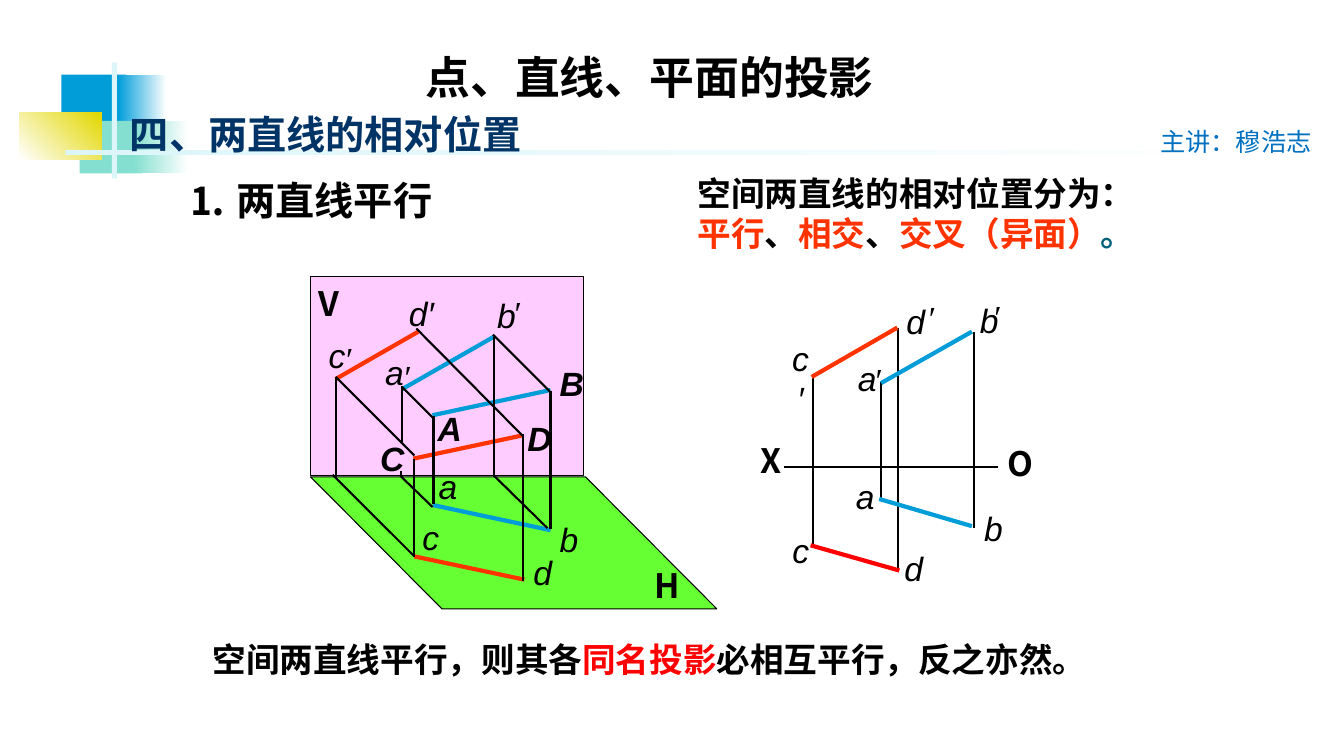
import pptx
import pptx.dml.color
import pptx.enum.shapes
import pptx.enum.text
import pptx.oxml.ns
import pptx.util
from lxml import etree

EMU_PER_PX = 9144
RGB = pptx.dml.color.RGBColor
BLACK = RGB(0x00, 0x00, 0x00)
WHITE = RGB(0xFF, 0xFF, 0xFF)
BLUE = RGB(0x00, 0x9D, 0xD9)
AQUA = RGB(0x85, 0xDF, 0xD0)
PALE = RGB(0xDB, 0xF5, 0xF9)
YELLOW = RGB(0xE2, 0xD7, 0x00)
ORANGE = RGB(0xFF, 0x33, 0x00)
RED = RGB(0xFF, 0x00, 0x00)
TEAL = RGB(0x04, 0x61, 0x7B)
NAVY = RGB(0x00, 0x33, 0x66)
LECTURER_BLUE = RGB(0x00, 0x70, 0xC0)
PINK = RGB(0xFF, 0xCC, 0xFF)
GREEN = RGB(0x66, 0xFF, 0x33)

SANS = "Noto Sans CJK SC"
SERIF = "Times New Roman"
LETTER = "Arial"
CENTER = pptx.enum.text.PP_ALIGN.CENTER
MIDDLE = pptx.enum.text.MSO_ANCHOR.MIDDLE
RECTANGLE = pptx.enum.shapes.MSO_SHAPE.RECTANGLE
PARALLELOGRAM = pptx.enum.shapes.MSO_SHAPE.PARALLELOGRAM

# Decoration: left, top, width, height, colours, gradient angle
DECORATION = [
    (61, 74, 64, 52, [BLUE], 0),
    (117, 74, 48, 52, [BLUE, WHITE], 0),
    (79, 120, 62, 52, [AQUA], 0),
    (133, 120, 54, 52, [AQUA, WHITE], 0),
    (19, 112, 82, 46, [WHITE, YELLOW], 45),
    (111, 62, 5, 115, [PALE], 0),
    (65, 149, 1200, 5, [PALE, WHITE], 0),
]

# Segments: colour, width in points, (x1, y1, x2, y2)
SPACE_SEGMENTS = [
    (BLUE, 3, [(399, 386, 490, 334), (429, 501, 546, 526), (429, 412, 546, 387)]),
    (ORANGE, 3, [(333, 376, 415, 329), (411, 552, 520, 575), (410, 455, 518, 432)]),
    (BLACK, 1.5, [
        (413, 326, 518, 432), (489, 332, 545, 388), (519, 576, 519, 431),
        (411, 455, 411, 553), (333, 374, 411, 452), (546, 525, 546, 388),
        (399, 384, 429, 414), (430, 500, 430, 413), (490, 334, 490, 473),
        (490, 472, 543, 524), (333, 375, 333, 473), (330, 471, 410, 551),
        (399, 383, 399, 439), (429, 503, 397, 472), (398, 473, 398, 467),
    ]),
]
VIEW_SEGMENTS = [
    (BLACK, 1.5, [
        (778, 463, 990, 463), (806, 372, 806, 541), (874, 379, 874, 496),
        (891, 325, 891, 567), (966, 329, 966, 524),
    ]),
    (ORANGE, 3, [(805, 374, 890, 325)]),
    (BLUE, 3, [(874, 380, 964, 329), (964, 522, 872, 495)]),
    (RED, 3, [(804, 541, 892, 566)]),
]

# Labels: text, left, top, width
SPACE_PROJECTIONS = [
    ("b", 555, 515, 17), ("c", 419, 513, 14), ("d", 529, 548, 17),
    ("d′", 405, 291, 26), ("a", 435, 462, 17), ("c", 326, 332, 14),
    ("a", 382, 349, 17), ("b", 493, 293, 17),
]
SPACE_POINTS = [("A", 434, 405, 20), ("B", 555, 360, 19),
                ("C", 377, 434, 18), ("D", 523, 415, 21)]
SPACE_PRIMES = [("′", 391, 348, 28), ("′", 500, 285, 28), ("′", 333, 330, 28)]
VIEW_PROJECTIONS = [
    ("a", 849, 472, 17), ("c", 786, 526, 14), ("d", 897, 544, 17),
    ("b", 976, 504, 17), ("d", 899, 299, 17), ("a", 851, 355, 17),
    ("b", 972, 298, 17),
]
VIEW_PRIMES = [("′", 855, 351, 34), ("′", 973, 289, 34), ("′", 908, 290, 34)]


def px(*lengths):
    return [pptx.util.Emu(length * EMU_PER_PX) for length in lengths]


def add_panel(shapes, kind, box, colours, angle=0, outline=None):
    """Add a filled shape; two colours give a linear gradient."""
    shape = shapes.add_shape(kind, *px(*box))
    shape.shadow.inherit = False
    if len(colours) == 1:
        shape.fill.solid()
        shape.fill.fore_color.rgb = colours[0]
    else:
        shape.fill.gradient()
        shape.fill.gradient_angle = angle
        for stop, colour, position in zip(shape.fill.gradient_stops, colours, (0, 1)):
            stop.color.rgb = colour
            stop.position = position
    if outline is None:
        shape.line.fill.background()
    else:
        shape.line.color.rgb = outline
        shape.line.width = pptx.util.Pt(0.75)
    return shape


def add_segments(shapes, groups):
    for colour, width, segments in groups:
        for segment in segments:
            line = shapes.add_connector(
                pptx.enum.shapes.MSO_CONNECTOR.STRAIGHT, *px(*segment))
            line.line.color.rgb = colour
            line.line.width = pptx.util.Pt(width)
            etree.SubElement(line._element.spPr, pptx.oxml.ns.qn("a:effectLst"))


def add_text(shapes, box, paragraphs, size, font, colour=BLACK, bold=False,
             italic=False, align=None, anchor=None, inset=None, wrap=True, grow=True):
    """Add a text box; each paragraph is a list of (text, colour or None) runs."""
    frame = shapes.add_textbox(*px(*box)).text_frame
    frame.word_wrap = wrap
    if grow:
        frame.auto_size = pptx.enum.text.MSO_AUTO_SIZE.SHAPE_TO_FIT_TEXT
    if anchor is not None:
        frame.vertical_anchor = anchor
    if inset is not None:
        frame.margin_left = frame.margin_right = inset
        frame.margin_top = frame.margin_bottom = inset
    for index, runs in enumerate(paragraphs):
        paragraph = frame.add_paragraph() if index else frame.paragraphs[0]
        paragraph.alignment = align
        paragraph.font.size = pptx.util.Pt(size)
        paragraph.font.bold = bold
        paragraph.font.italic = italic
        paragraph.font.color.rgb = colour
        paragraph.font.name = font
        etree.SubElement(paragraph.font._element, pptx.oxml.ns.qn("a:ea"), typeface=SANS)
        for text, run_colour in runs:
            run = paragraph.add_run()
            run.text = text
            if run_colour is not None:
                run.font.color.rgb = run_colour


def add_labels(shapes, labels, font=LETTER, bold=False, italic=True,
               wrap=False, inset=0, height=40):
    for text, left, top, width in labels:
        add_text(shapes, (left, top, width, height), [[(text, None)]], 24, font,
                 bold=bold, italic=italic, align=CENTER, inset=inset, wrap=wrap)


def add_primes(shapes, primes):
    add_labels(shapes, primes, font=SERIF, italic=False, inset=None, height=50)


def add_space_drawing(slide):
    shapes = slide.shapes.add_group_shape().shapes
    plane = add_panel(shapes, PARALLELOGRAM, (308, 473, 403, 131), [GREEN], outline=BLACK)
    plane.adjustments[0] = 0.995
    plane._element.spPr.xfrm.set("flipH", "1")
    add_panel(shapes, RECTANGLE, (308, 274, 271, 198), [PINK], outline=BLACK)
    add_segments(shapes, SPACE_SEGMENTS)
    add_labels(shapes, SPACE_PROJECTIONS)
    add_labels(shapes, SPACE_POINTS, bold=True)
    add_labels(shapes, [("V", 316, 281, 17)], font=SANS, bold=True, italic=False)
    add_labels(shapes, [("H", 649, 560, 12)], font=SANS, bold=True, italic=False, wrap=True)
    add_primes(shapes, SPACE_PRIMES)


def add_view_drawing(slide):
    shapes = slide.shapes.add_group_shape().shapes
    add_labels(shapes, VIEW_PROJECTIONS)
    add_labels(shapes, [("c′", 783, 335, 22)], wrap=True)
    add_labels(shapes, [("O", 999, 439, 17), ("X", 754, 436, 17)],
               font=SANS, bold=True, italic=False)
    add_primes(shapes, VIEW_PRIMES)
    add_segments(shapes, VIEW_SEGMENTS)


def main():
    presentation = pptx.Presentation()
    presentation.slide_width, presentation.slide_height = px(1333, 750)
    slide = presentation.slides.add_slide(presentation.slide_layouts[6])
    shapes = slide.shapes

    for *box, colours, angle in DECORATION:
        add_panel(shapes, RECTANGLE, box, colours, angle)
    add_text(shapes, (1141, 120, 182, 40), [[("主讲：穆浩志", None)]], 18, SANS,
             colour=LECTURER_BLUE)
    add_text(shapes, (119, 104, 516, 57), [[("四、两直线的相对位置", None)]], 28, SERIF,
             colour=NAVY, bold=True, anchor=MIDDLE)
    add_text(shapes, (682, 166, 450, 91), [
        [("空间两直线的相对位置分为：", None)],
        [("平行", ORANGE), ("、", None), ("相交", ORANGE), ("、", None),
         ("交叉（异面）", ORANGE), ("。", TEAL)],
    ], 24, SERIF, bold=True, anchor=MIDDLE)
    add_text(shapes, (177, 170, 369, 57), [[("⒈ 两直线平行", None)]], 28, SANS,
             bold=True, anchor=MIDDLE)
    add_text(shapes, (201, 629, 917, 50), [
        [("空间两直线平行，则其各", None), ("同名投影", RED),
         ("必相互平行，反之亦然。", None)],
    ], 24, SANS, bold=True, anchor=MIDDLE)
    add_space_drawing(slide)
    add_view_drawing(slide)
    add_text(shapes, (340, 44, 609, 63), [[("点、直线、平面的投影", None)]], 32, SANS,
             bold=True, align=CENTER, anchor=MIDDLE, grow=False)
    presentation.save("out.pptx")


if __name__ == "__main__":
    main()
